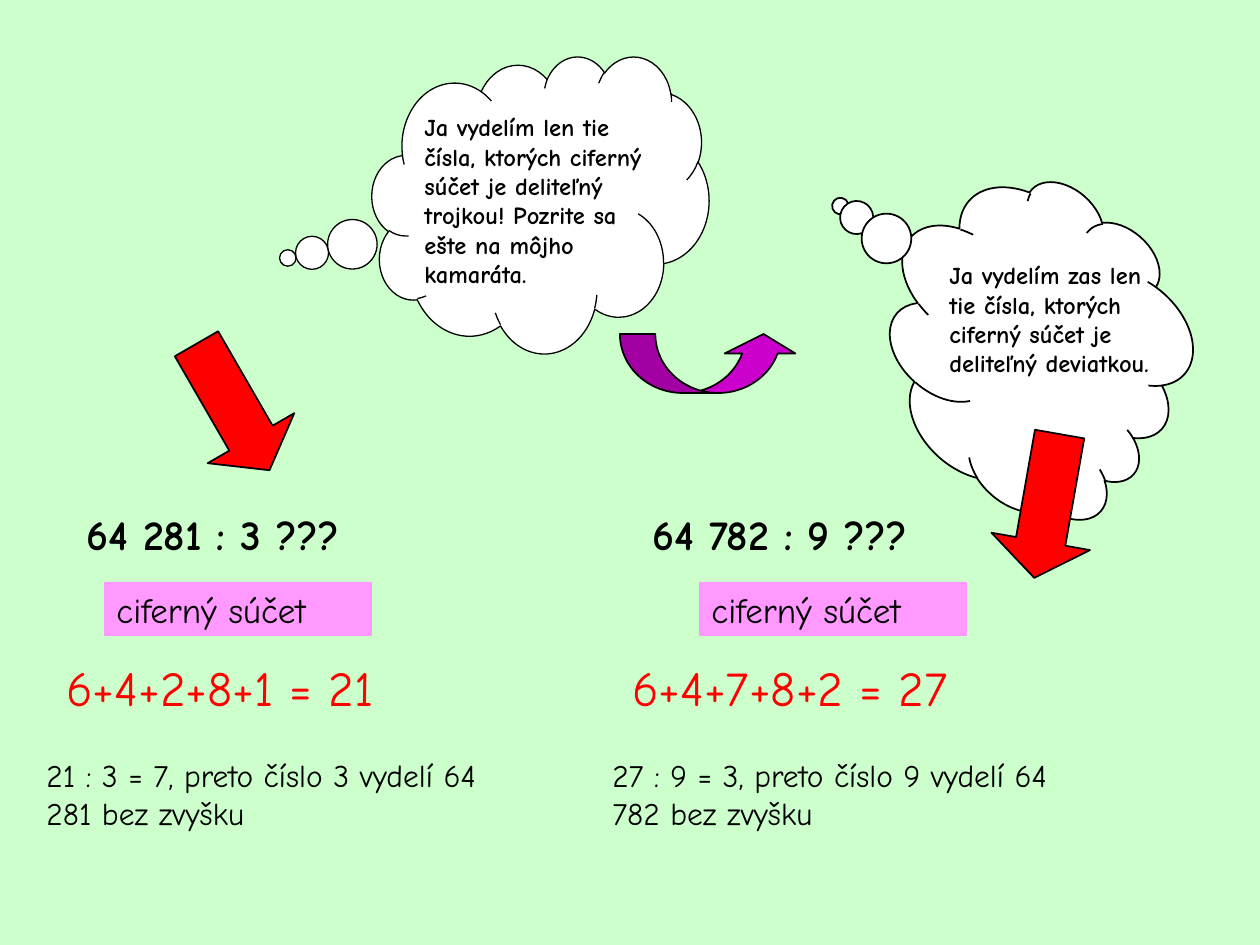
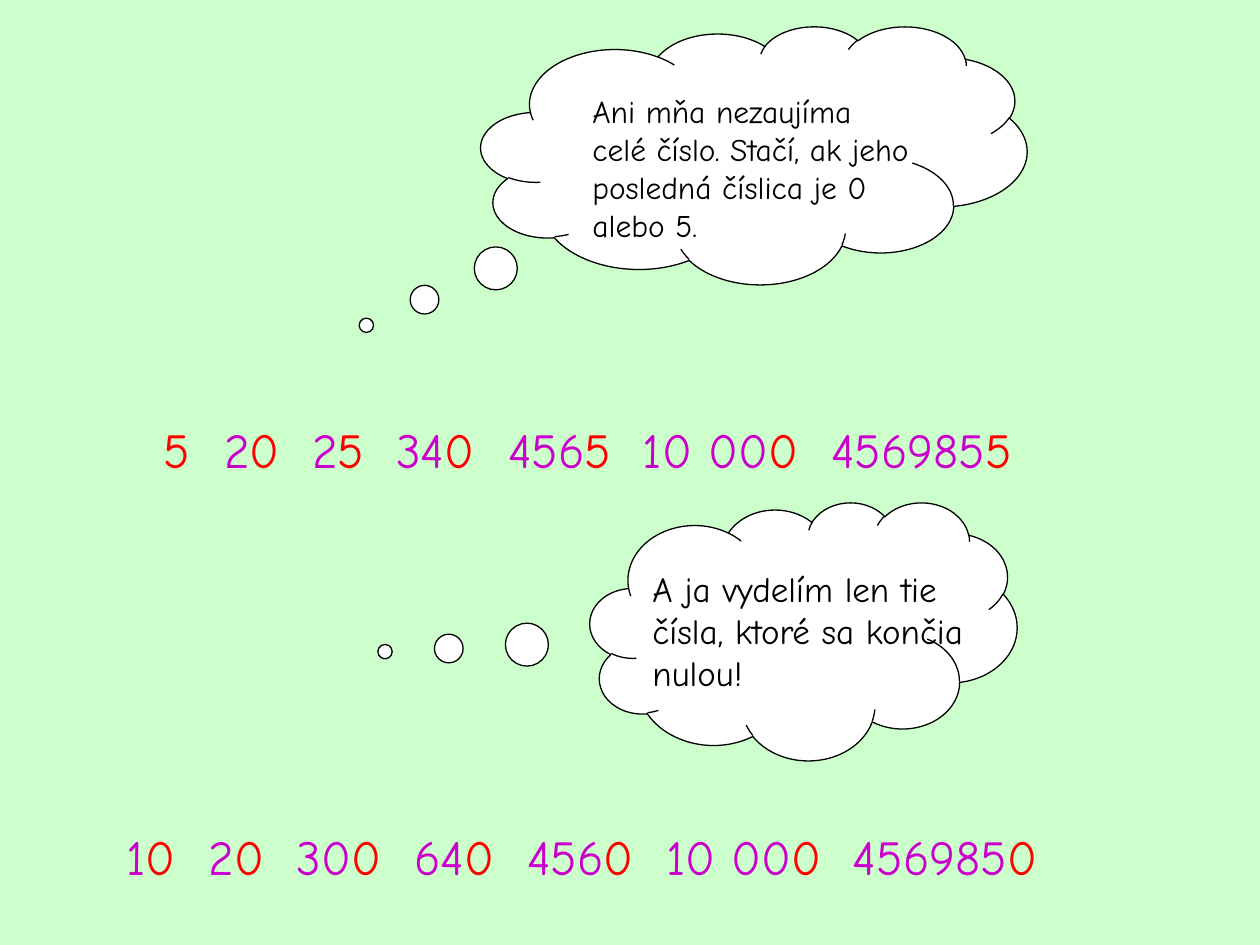
from pptx import Presentation
from pptx.dml.color import RGBColor
from pptx.enum.shapes import MSO_SHAPE
from pptx.enum.text import MSO_ANCHOR, MSO_AUTO_SIZE, PP_ALIGN
from pptx.oxml.ns import qn
from pptx.util import Emu, Pt
from lxml.etree import SubElement

EMU_PER_PX = 914400 / 126
FONT = "Comic Neue"
MINT, WHITE, BLACK = "CCFFCC", "FFFFFF", "000000"
RED, PURPLE, PINK = "FF0000", "CC00CC", "FF99FF"


def px(length):
    return Emu(round(length * EMU_PER_PX))


def color(hex_code):
    return RGBColor.from_string(hex_code)


class Lesson:
    """Holds the presentation, its style and the slide being built."""

    def __init__(self):
        self.deck = Presentation()
        self.deck.slide_width, self.deck.slide_height = px(1260), px(945)
        self.slide = None

    def new_slide(self):
        self.slide = self.deck.slides.add_slide(self.deck.slide_layouts[6])
        fill = self.slide.background.fill
        fill.solid()
        fill.fore_color.rgb = color(MINT)

    def run(self, paragraph, words, size, ink=BLACK, bold=False):
        run = paragraph.add_run()
        run.text = words
        run.font.name, run.font.size, run.font.bold = FONT, Pt(size), bold
        run.font.color.rgb = color(ink)

    def frame(self, shape):
        """Prepare a shape's text frame and return its first paragraph."""
        frame = shape.text_frame
        frame.word_wrap = True
        frame.auto_size = MSO_AUTO_SIZE.SHAPE_TO_FIT_TEXT
        frame.vertical_anchor = MSO_ANCHOR.TOP
        paragraph = frame.paragraphs[0]
        paragraph.alignment = PP_ALIGN.LEFT
        return paragraph

    def text(self, box, words, size, ink=BLACK, bold=False):
        paragraph = self.frame(self.slide.shapes.add_textbox(*map(px, box)))
        self.run(paragraph, words, size, ink, bold)

    def shape(self, kind, box, fill, line=1.0, adjustments=(), rotation=0):
        shape = self.slide.shapes.add_shape(kind, *map(px, box))
        shape.shadow.inherit = False
        shape.fill.solid()
        shape.fill.fore_color.rgb = color(fill)
        if line:
            shape.line.color.rgb = color(BLACK)
            shape.line.width = Pt(line)
        else:
            shape.line.fill.background()
        for index, value in enumerate(adjustments):
            shape.adjustments[index] = value
        shape.rotation = rotation
        return shape

    def thought(self, box, tail, line=0.75, rotation=0):
        self.shape(MSO_SHAPE.CLOUD_CALLOUT, box, WHITE, line, tail, rotation)

    def red_arrow(self, left, top, rotation):
        self.shape(MSO_SHAPE.DOWN_ARROW, (left, top, 100, 146), RED,
                   adjustments=(0.5, 0.37), rotation=rotation)

    def label(self, box, words, size):
        shape = self.shape(MSO_SHAPE.RECTANGLE, box, PINK, line=0)
        self.run(self.frame(shape), words, size)

    def numbers(self, box, starts, numbers):
        """Set numbers at the given x positions, each with a red last digit."""
        shape = self.slide.shapes.add_textbox(*map(px, box))
        paragraph = self.frame(shape)
        shape.text_frame.margin_left = px(starts[0] - box[0])
        tabs = SubElement(paragraph._p.get_or_add_pPr(), qn("a:tabLst"))
        for start in starts[1:]:
            SubElement(tabs, qn("a:tab"), pos=str(px(start - starts[0])), algn="l")
        for index, number in enumerate(numbers):
            lead = ("\t" if index else "") + number[:-1]
            if lead:
                self.run(paragraph, lead, 28, PURPLE)
            self.run(paragraph, number[-1], 28, RED)

    def worked_example(self, left, label_left, division, digit_sum, conclusion):
        self.text((left + 40, 502, 358, 63), division, 24, bold=True)
        self.label((label_left, 582, 268, 54), "ciferný súčet", 20)
        self.text((left + 20, 651, 407, 72), digit_sum, 28, RED)
        self.text((left, 750, 507, 88), conclusion, 18)


def digit_sum_slide(lesson):
    lesson.new_slide()
    lesson.thought((372, 56, 337, 297), (-0.75, 0.18))
    lesson.text((412, 106, 258, 189),
                "Ja vydelím len tie čísla, ktorých ciferný súčet je deliteľný "
                "trojkou! Pozrite sa ešte na môjho kamaráta.", 14, bold=True)
    lesson.thought((886, 181, 298, 324), (0.09, 0.73), line=1, rotation=131.6)
    lesson.text((937, 254, 238, 159),
                "Ja vydelím zas len tie čísla, ktorých ciferný súčet je "
                "deliteľný deviatkou.", 14, bold=True)
    lesson.red_arrow(183, 334, 330)
    lesson.shape(MSO_SHAPE.CURVED_UP_ARROW, (620, 334, 179, 59), PURPLE,
                 adjustments=(0.6, 1.2, 0.33))
    lesson.red_arrow(997, 433, 10)
    lesson.worked_example(34, 104, "64 281 : 3 ???", "6+4+2+8+1 = 21",
                          "21 : 3 = 7, preto číslo 3 vydelí 64 281 bez zvyšku")
    lesson.worked_example(600, 699, "64 782 : 9 ???", "6+4+7+8+2 = 27",
                          "27 : 9 = 3, preto číslo 9 vydelí 64 782 bez zvyšku")


def last_digit_slide(lesson):
    lesson.new_slide()
    lesson.thought((481, 26, 546, 258), (-0.71, 0.66))
    lesson.text((580, 86, 345, 164),
                "Ani mňa nezaujíma celé číslo. Stačí, ak jeho posledná číslica "
                "je 0 alebo 5.", 18)
    lesson.numbers((123, 413, 927, 72), (163, 224, 312, 396, 508, 643, 831),
                   ("5", "20", "25", "340", "4565", "10 000", "4569855"))
    lesson.thought((590, 502, 427, 258), (-0.98, 0.08))
    lesson.text((640, 561, 348, 139),
                "A ja vydelím len tie čísla, ktoré sa končia nulou!", 20)
    lesson.numbers((113, 820, 979, 72), (126, 209, 297, 414, 527, 666, 853),
                   ("10", "20", "300", "640", "4560", "10 000", "4569850"))


def main():
    lesson = Lesson()
    digit_sum_slide(lesson)
    last_digit_slide(lesson)
    lesson.deck.save("out.pptx")


if __name__ == "__main__":
    main()
